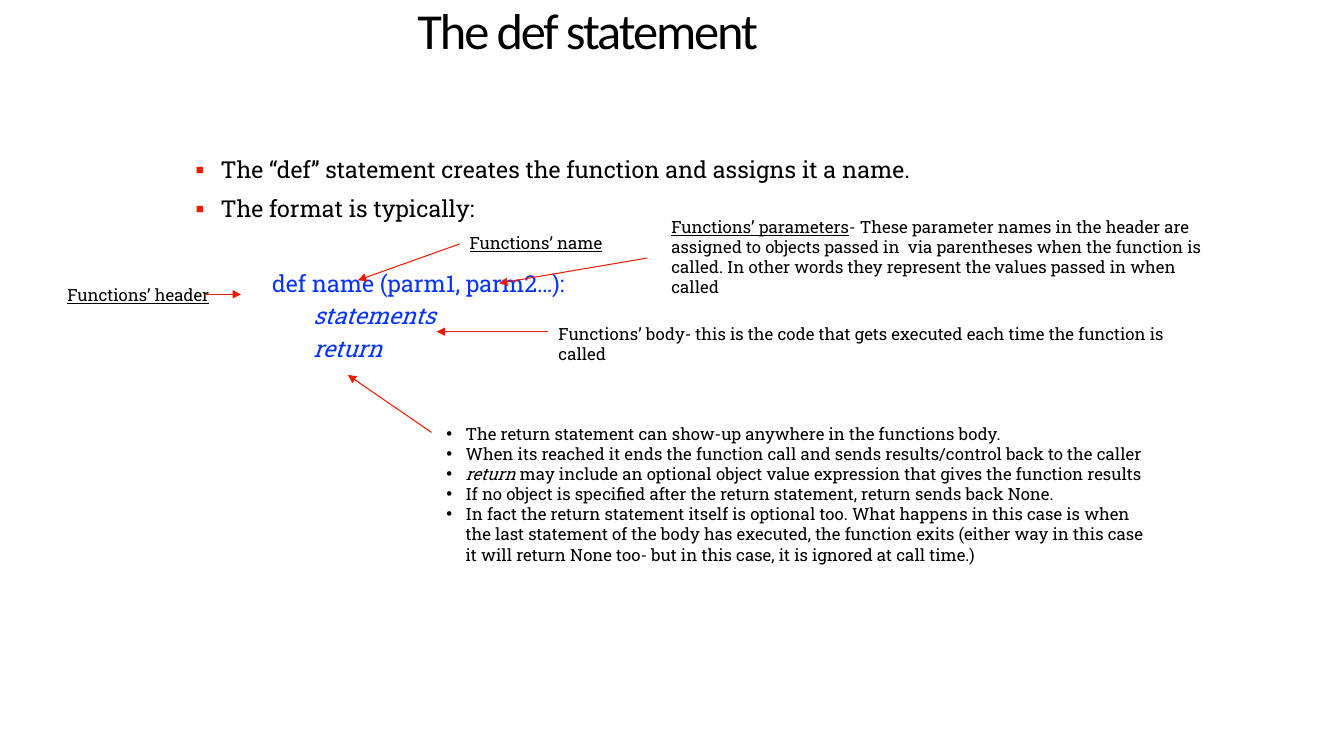
from lxml.etree import SubElement
from pptx import Presentation
from pptx.dml.color import RGBColor
from pptx.enum.shapes import MSO_CONNECTOR
from pptx.enum.text import MSO_ANCHOR, PP_ALIGN
from pptx.oxml.ns import qn
from pptx.util import Emu, Pt

PX = 9144  # 100 px to the inch
BLACK, BLUE, RED, BULLET_RED = "000000", "0432FF", "ED1A02", "F81B02"


def px(n):
    return Emu(n * PX)


def rgb(value):
    return RGBColor.from_string(value)


class SlideBuilder:
    font = "Roboto Slab"
    note_size = 12
    body_size = 16.6

    def __init__(self, prs):
        self.s = prs.slides.add_slide(prs.slide_layouts[6])

    def text(self, x, y, w, h, inset=None, anchor=MSO_ANCHOR.TOP):
        """Add an empty wrapping text box and return its frame."""
        tf = self.s.shapes.add_textbox(px(x), px(y), px(w), px(h)).text_frame
        tf.word_wrap = True
        tf.vertical_anchor = anchor
        if inset is not None:
            for side in ("left", "top", "right", "bottom"):
                setattr(tf, f"margin_{side}", px(inset))
        return tf

    def para(self, tf, runs, left=0, hang=0, bullet=None, fmt=None):
        """Add a paragraph; runs are (text, font values) pairs."""
        first = tf.paragraphs[0]
        p = tf.add_paragraph() if first.runs else first
        for name, value in (fmt or {}).items():
            setattr(p, name, value)
        for text, values in runs:
            self.run(p, text, **values)
        pPr = p._p.get_or_add_pPr()
        pPr.set("marL", str(px(left)))
        pPr.set("indent", str(px(-hang)))
        if bullet:
            char, color, percent = bullet
            clr = SubElement(pPr, qn("a:buClr"))
            SubElement(clr, qn("a:srgbClr"), val=color)
            SubElement(pPr, qn("a:buSzPct"), val=str(percent * 1000))
            SubElement(pPr, qn("a:buFont"), typeface="Arial")
            SubElement(pPr, qn("a:buChar"), char=char)
        return p

    def run(self, p, text, color=BLACK, size=note_size, spacing=None, **values):
        r = p.add_run()
        r.text = text
        for name, value in {"name": self.font, "size": Pt(size), **values}.items():
            setattr(r.font, name, value)
        r.font.color.rgb = rgb(color)
        if spacing is not None:
            r._r.get_or_add_rPr().set("spc", str(spacing))

    def note(self, x, y, w, h, *runs):
        self.para(self.text(x, y, w, h), runs)

    def arrow(self, x1, y1, x2, y2):
        sp = self.s.shapes.add_connector(
            MSO_CONNECTOR.STRAIGHT, px(x1), px(y1), px(x2), px(y2))
        sp.line.color.rgb = rgb(RED)
        sp.line.width = Pt(0.75)
        SubElement(sp.line._get_or_add_ln(), qn("a:tailEnd"), type="triangle")
        SubElement(sp._element.spPr, qn("a:effectLst"))


def main():
    prs = Presentation()
    prs.slide_width, prs.slide_height = px(1333), px(750)
    b = SlideBuilder(prs)

    # Title
    tf = b.text(120, -20, 926, 107, inset=25, anchor=MSO_ANCHOR.MIDDLE)
    b.para(tf, [("The def statement", {"name": "Calibri", "size": 36, "spacing": -150})],
           fmt={"alignment": PP_ALIGN.CENTER, "line_spacing": 0.85})

    # Main points and the code pattern
    tf = b.text(184, 152, 845, 236)
    for point in ("The “def” statement creates the function and assigns it a name.",
                  "The format is typically:"):
        b.para(tf, [(point, {"size": b.body_size})], 25, 25, ("▪", BULLET_RED, 110),
               {"line_spacing": 0.9, "space_before": Pt(10)})
    for code, left, before, italic in (("def name (parm1, parm2…):", 76, 36, False),
                                       ("statements", 117, 5, True),
                                       ("return", 117, 5, True)):
        b.para(tf, [(code, {"size": b.body_size, "color": BLUE, "italic": italic})], left,
               fmt={"line_spacing": 0.9, "space_before": Pt(before)})

    # Notes on each part of the function
    under = {"underline": True}
    b.note(544, 316, 648, 50,
           ("Functions’ body- this is the code that gets executed each time "
            "the function is called", {}))
    b.note(57, 278, 166, 30, ("Functions’ header", under))
    b.note(456, 226, 166, 30, ("Functions’ name", under))
    b.note(656, 210, 555, 91, ("Functions’ parameters", under),
           ("- These parameter names in the header are assigned to objects passed in  via "
            "parentheses when the function is called. In other words they represent the "
            "values passed in when called", {}))

    # Notes on return
    tf = b.text(433, 415, 712, 151)
    for runs in (
        [("The return statement can show-up anywhere in the functions body.", {})],
        [("When its reached it ends the function call and sends results/control "
          "back to the caller", {})],
        [("return ", {"italic": True}),
         ("may include an optional object value expression that gives the "
          "function results", {})],
        [("If no object is specified after the return statement, return sends "
          "back None.", {})],
        [("In fact the return statement itself is optional too. What happens in this case "
          "is when the last statement of the body has executed, the function exits (either "
          "way in this case it will return None too- but in this case, it is ignored at "
          "call time.)", {})],
    ):
        b.para(tf, runs, 19, 19, ("•", BLACK, 100))

    # Arrows from the notes to the code
    for ends in ((544, 329, 433, 329), (203, 292, 239, 292), (456, 242, 355, 278),
                 (642, 256, 495, 281), (428, 429, 345, 372)):
        b.arrow(*ends)

    prs.save("out.pptx")


if __name__ == "__main__":
    main()
